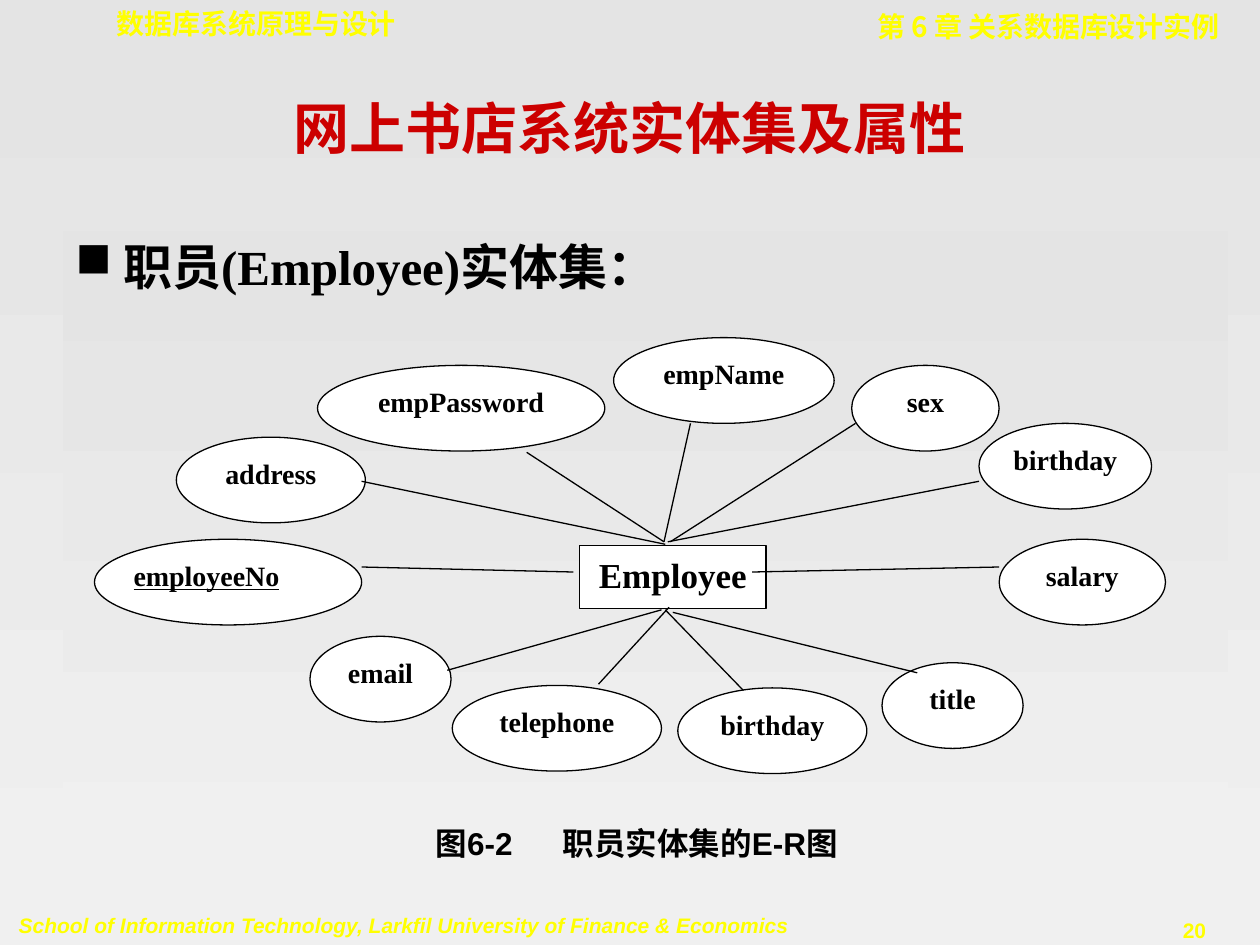
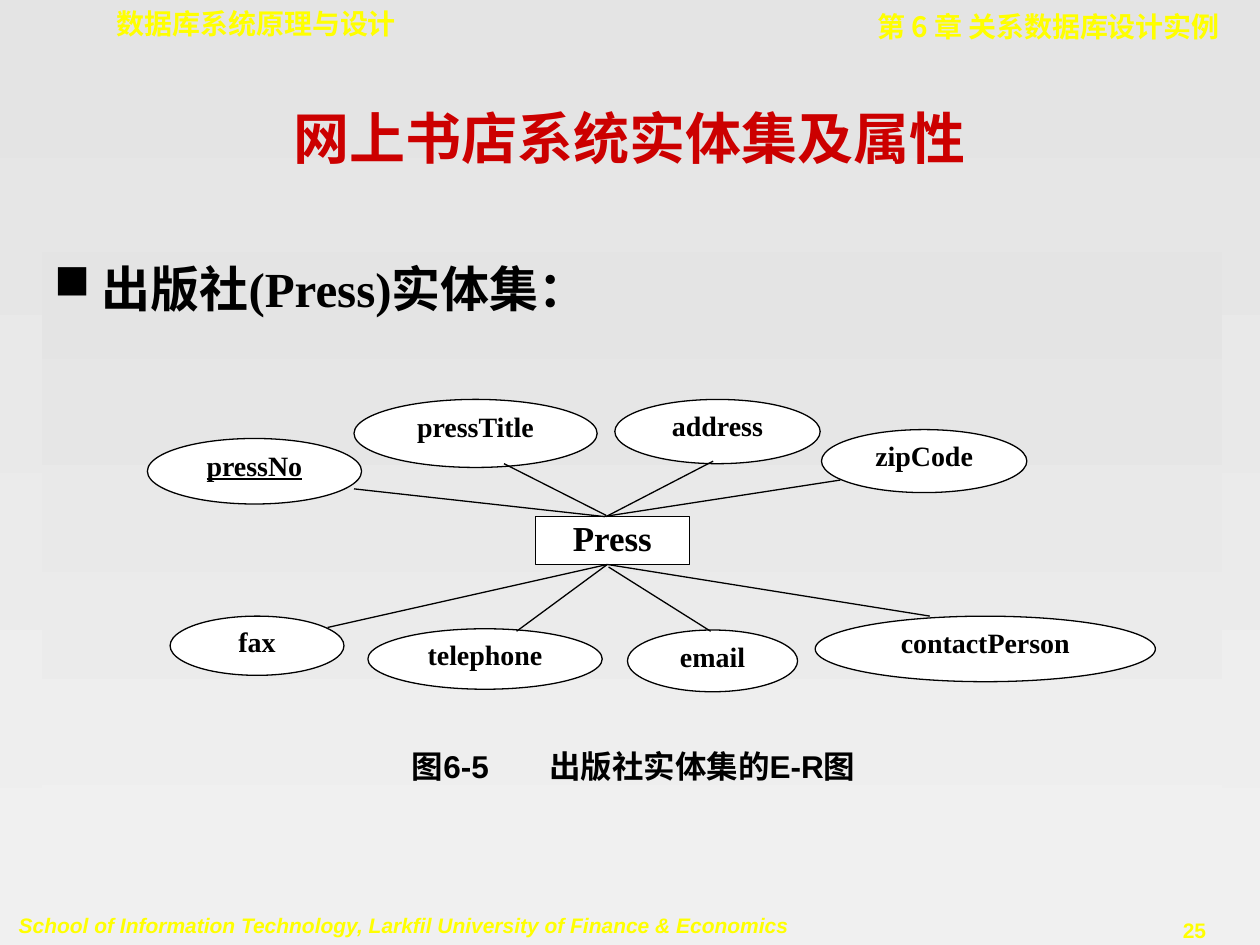
from dataclasses import dataclass

from lxml import etree
from pptx import Presentation
from pptx.dml.color import RGBColor
from pptx.enum.shapes import MSO_CONNECTOR, MSO_SHAPE
from pptx.enum.text import MSO_ANCHOR, PP_ALIGN
from pptx.oxml.ns import qn
from pptx.util import Inches, Pt

RECTANGLE, OVAL = MSO_SHAPE.RECTANGLE, MSO_SHAPE.OVAL
STRAIGHT = MSO_CONNECTOR.STRAIGHT
LEFT, CENTER, RIGHT, JUSTIFY = PP_ALIGN.LEFT, PP_ALIGN.CENTER, PP_ALIGN.RIGHT, PP_ALIGN.JUSTIFY
TOP, MIDDLE = MSO_ANCHOR.TOP, MSO_ANCHOR.MIDDLE


@dataclass(frozen=True)
class Theme:
    red: RGBColor = RGBColor(0xCC, 0x00, 0x00)
    yellow: RGBColor = RGBColor(0xFF, 0xFF, 0x00)
    black: RGBColor = RGBColor(0x00, 0x00, 0x00)
    white: RGBColor = RGBColor(0xFF, 0xFF, 0xFF)
    gradient: tuple = (RGBColor(0xE4, 0xE4, 0xE4), RGBColor(0xF0, 0xF0, 0xF0))
    serif: str = "Times New Roman"
    sans: str = "Arial"
    mono: str = "DejaVu Sans Mono"
    chinese: str = "Noto Sans CJK SC"
    title: int = 32
    body: int = 28
    entity: int = 20
    caption: int = 18
    label: int = 16
    footer: int = 12
    line: float = 0.75


theme = Theme()

presentation = Presentation()
presentation.slide_width = Inches(10)
presentation.slide_height = Inches(7.5)
COLUMN = presentation.slide_width / 10
ROW = presentation.slide_height / 7.5


def to_grid(*values):
    return [round(value * (ROW if index % 2 else COLUMN)) for index, value in enumerate(values)]


def write_text(shape, text, size, font, color, align=LEFT, anchor=TOP, margins=(0.1, 0.05), before=0, spacing=None):
    frame = shape.text_frame
    frame.text = text
    frame.word_wrap = True
    frame.vertical_anchor = anchor
    frame.margin_left = frame.margin_right = round(margins[0] * COLUMN)
    frame.margin_top = frame.margin_bottom = round(margins[1] * ROW)
    paragraph = frame.paragraphs[0]
    paragraph.alignment = align
    paragraph.space_before = Pt(before)
    paragraph.line_spacing = spacing
    run = paragraph.runs[0]
    run.font.size, run.font.name, run.font.bold = Pt(size), font, True
    run.font.color.rgb = color
    etree.SubElement(run.font._element, qn("a:ea"), typeface=theme.chinese)
    return paragraph


SCHOOL = "School of Information Technology, Larkfil University of Finance & Economics"
TITLE = "网上书店系统实体集及属性"
BANDS = [
    ((0.83, 0, 3.66, 0.37), "数据库系统原理与设计", theme.label, theme.mono, LEFT, 10),
    ((5.43, 0.03, 4.35, 0.37), "第 6 章 关系数据库设计实例", theme.label, theme.chinese, RIGHT, 10),
    ((0.05, 7.19, 6.4, 0.3), SCHOOL, theme.footer, theme.sans, LEFT, 7.5),
]

DIAGRAMS = [
    {
        "page": "20",
        "title_top": 0.67,
        "body": (0.5, 1.83, 9.25, 5.25),
        "heading": "职员(Employee)实体集：",
        "entity": ("Employee", (4.6, 4.33, 1.48, 0.5)),
        "key": "employeeNo",
        "key_align": JUSTIFY,
        "spacing": 1.2,
        "caption": ("图6-2\t职员实体集的E-R图", (3.36, 6.43, 4.76, 0.46), 1.01),
        "attributes": [
            ("employeeNo", (0.75, 4.28, 2.12, 0.68), (4.55, 4.54, 2.87, 4.5)),
            ("empPassword", (2.52, 2.9, 2.28, 0.68), (5.27, 4.3, 4.18, 3.59)),
            ("empName", (4.87, 2.68, 1.75, 0.68), (5.27, 4.3, 5.48, 3.36)),
            ("sex", (6.76, 2.9, 1.17, 0.68), (5.32, 4.3, 6.79, 3.36)),
            ("birthday", (7.77, 3.36, 1.37, 0.68), (5.3, 4.3, 7.77, 3.82)),
            ("title", (7, 5.26, 1.12, 0.68), (5.34, 4.86, 7.28, 5.34)),
            ("birthday", (5.38, 5.46, 1.5, 0.68), (5.28, 4.84, 5.9, 5.48)),
            ("salary", (7.93, 4.28, 1.32, 0.68), (5.97, 4.54, 7.93, 4.5)),
            ("address", (1.4, 3.47, 1.5, 0.68), (5.28, 4.32, 2.87, 3.82)),
            ("telephone", (3.59, 5.44, 1.66, 0.68), (5.31, 4.82, 4.75, 5.43)),
            ("email", (2.46, 5.05, 1.12, 0.68), (5.25, 4.84, 3.55, 5.32)),
        ],
    },
    {
        "page": "25",
        "title_top": 0.75,
        "body": (0.33, 2, 9.37, 5.08),
        "heading": "出版社(Press)实体集：",
        "entity": ("Press", (4.25, 4.1, 1.22, 0.38)),
        "key": "pressNo",
        "key_align": CENTER,
        "spacing": None,
        "caption": ("图6-5\t出版社实体集的E-R图", (3.17, 5.88, 5.37, 0.4), 1.09),
        "attributes": [
            ("pressNo", (1.17, 3.48, 1.7, 0.52), (4.8, 4.1, 2.81, 3.88)),
            ("pressTitle", (2.81, 3.17, 1.93, 0.54), (4.81, 4.09, 4, 3.68)),
            ("address", (4.88, 3.17, 1.63, 0.51), (4.81, 4.1, 5.66, 3.66)),
            ("zipCode", (6.52, 3.41, 1.63, 0.5), (4.79, 4.1, 6.67, 3.81)),
            ("contactPerson", (6.47, 4.89, 2.7, 0.52), (4.82, 4.48, 7.38, 4.89)),
            ("telephone", (2.92, 4.99, 1.86, 0.48), (4.82, 4.48, 4.1, 5.01)),
            ("fax", (1.35, 4.89, 1.38, 0.47), (4.82, 4.48, 2.6, 4.98)),
            ("email", (4.98, 5, 1.35, 0.49), (4.83, 4.5, 5.64, 5.01)),
        ],
    },
]

for diagram in DIAGRAMS:
    slide = presentation.slides.add_slide(presentation.slide_layouts[6])
    shapes = slide.shapes

    page_band = ((8.98, 7.23, 1, 0.3), diagram["page"], theme.footer, theme.sans, CENTER, 7.5)
    for box, text, size, font, align, before in [*BANDS, page_band]:
        band = shapes.add_textbox(*to_grid(*box))
        paragraph = write_text(band, text, size, font, theme.yellow, align, before=before)
        paragraph.runs[0].font.italic = text == SCHOOL

    title = shapes.add_textbox(*to_grid(0.75, diagram["title_top"], 8.5, 0.67))
    write_text(title, TITLE, theme.title, theme.serif, theme.red, CENTER, MIDDLE)

    body = shapes.add_textbox(*to_grid(*diagram["body"]))
    paragraph = write_text(body, diagram["heading"], theme.body, theme.serif, theme.black, before=7)
    properties = paragraph._p.get_or_add_pPr()
    indent = round(0.38 * COLUMN)
    properties.set("marL", str(indent))
    properties.set("indent", str(-indent))
    bullet_color = etree.SubElement(properties, qn("a:buClr"))
    etree.SubElement(bullet_color, qn("a:srgbClr"), val=str(theme.black))
    etree.SubElement(properties, qn("a:buChar"), char="■")

    for fill in (slide.background.fill, body.fill):
        fill.gradient()
        fill.gradient_angle = 270
        for stop, color in zip(fill.gradient_stops, theme.gradient):
            stop.color.rgb = color

    nodes = [(RECTANGLE, *diagram["entity"], theme.entity)]
    nodes += [(OVAL, name, box, theme.label) for name, box, link in diagram["attributes"]]
    for kind, name, box, size in nodes:
        node = shapes.add_shape(kind, *to_grid(*box))
        node.shadow.inherit = False
        node.fill.solid()
        node.fill.fore_color.rgb = theme.white
        node.line.color.rgb = theme.black
        node.line.width = Pt(theme.line)
        is_key = name == diagram["key"]
        align = diagram["key_align"] if is_key else CENTER
        paragraph = write_text(node, name, size, theme.serif, theme.black, align,
                               margins=(0, 0), spacing=diagram["spacing"])
        paragraph.runs[0].font.underline = is_key

    for name, box, link in diagram["attributes"]:
        connector = shapes.add_connector(STRAIGHT, *to_grid(*link))
        connector.line.color.rgb = theme.black
        connector.line.width = Pt(theme.line)
        etree.SubElement(connector._element.spPr, qn("a:effectLst"))

    text, box, tab_position = diagram["caption"]
    caption = shapes.add_textbox(*to_grid(*box))
    paragraph = write_text(caption, text, theme.caption, theme.sans, theme.black,
                           before=11.2, spacing=diagram["spacing"])
    tabs = etree.SubElement(paragraph._p.get_or_add_pPr(), qn("a:tabLst"))
    etree.SubElement(tabs, qn("a:tab"), pos=str(round(tab_position * COLUMN)), algn="l")

presentation.save("out.pptx")
